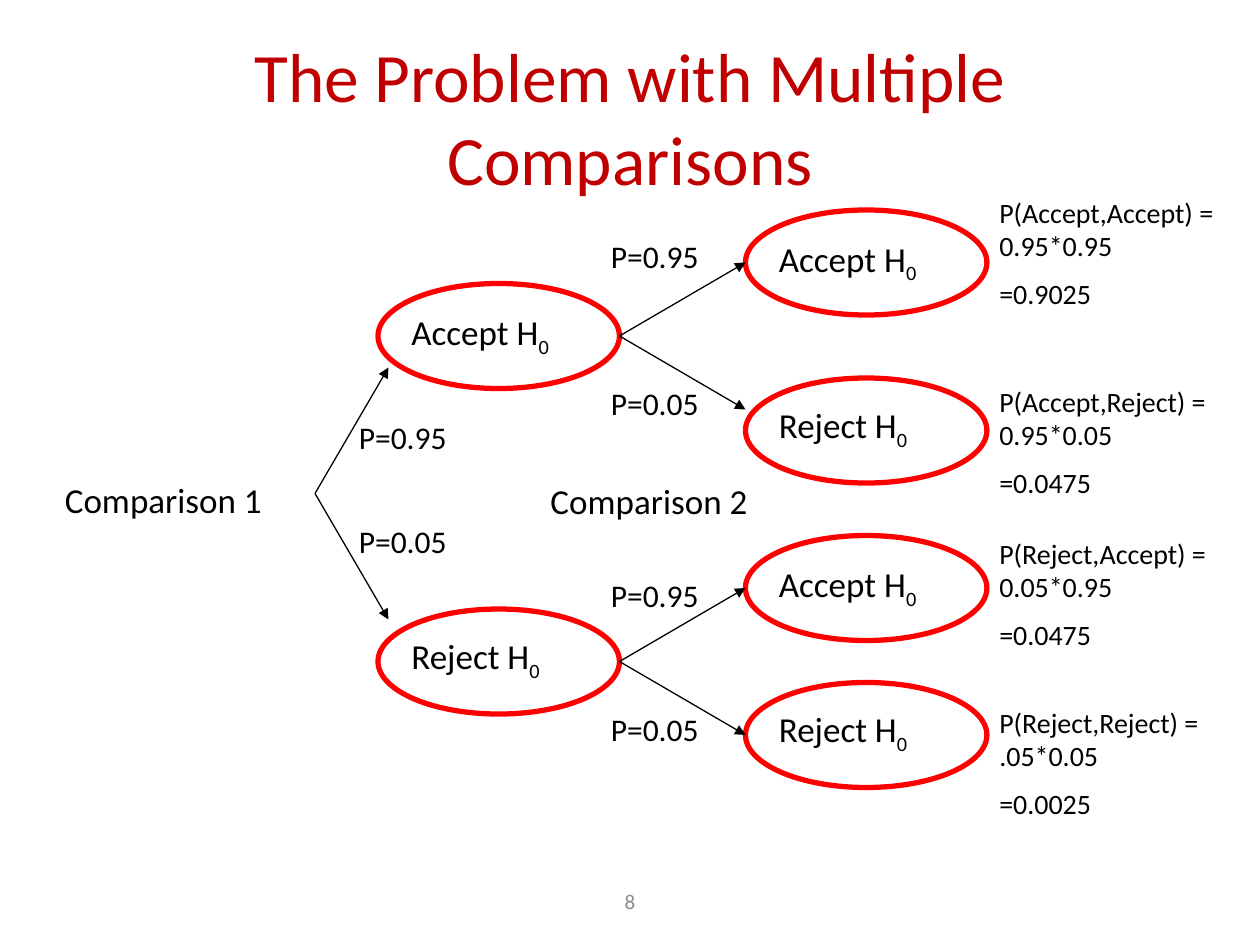
from pptx import Presentation
from pptx.dml.color import RGBColor
from pptx.enum import shapes, text
from pptx.oxml.ns import qn
from pptx.util import Pt
from lxml import etree

# Content
TITLE = "The Problem with Multiple Comparisons"
PAGE = "8"
HEADS = [("Comparison 1", 30, 270), ("Comparison 2", 307.5, 270.5)]
NODES = [  # word, left, top
    ("Accept", 216, 162), ("Reject", 216, 348),
    ("Accept", 426, 120), ("Reject", 426, 216),
    ("Accept", 426, 306), ("Reject", 426, 390),
]
FORKS = [  # start x, start y, run, rise, label x, upper and lower label y
    (180, 282, 42, 72, 198, 235.5, 295),
    (354, 192, 72, 42, 342, 132, 216),
    (354, 378, 72, 42, 342, 325.5, 402),
]
ODDS = ["P=0.95", "P=0.05"]
ENDS = [  # lines, top, width
    (["P(Accept,Accept) = 0.95*0.95", "=0.9025"], 108, 150),
    (["P(Accept,Reject) = 0.95*0.05", "=0.0475"], 216, 144),
    (["P(Reject,Accept) = 0.05*0.95", "=0.0475"], 303, 144),
    (["P(Reject,Reject) = .05*0.05", "=0.0025"], 399.5, 144),
]
INK = {"title": "C00000", "text": "000000", "ring": "FF0000", "page": "8C8C8C"}
FONT = "Calibri"
OVAL_W, OVAL_H = 138, 60
DROP = {"Accept": 12, "Reject": 11}
WIDE = {"Accept": 114, "Reject": 102}

prs = Presentation()
prs.slide_width, prs.slide_height = Pt(720), Pt(540)
slide = prs.slides.add_slide(prs.slide_layouts[5])


def add_run(para, words, size, ink="text"):
    run = para.add_run()
    run.text = words
    run.font.name, run.font.size = FONT, Pt(size)
    run.font.color.rgb = RGBColor.from_string(INK[ink])
    return run


def add_text(lines, x, y, w, h, size, ink="text"):
    box = slide.shapes.add_textbox(Pt(x), Pt(y), Pt(w), Pt(h))
    frame = box.text_frame
    frame.word_wrap = True
    for i, line in enumerate(lines):
        para = frame.add_paragraph() if i else frame.paragraphs[0]
        if i:
            para.space_before = Pt(size / 2)
        add_run(para, line, size, ink)
    return frame


def add_node(word, x, y):
    frame = add_text([word + " H"], x + 12, y + DROP[word], WIDE[word], 31, 20)
    sub = add_run(frame.paragraphs[0], "0", 20)
    sub._r.get_or_add_rPr().set("baseline", "-25000")
    oval = slide.shapes.add_shape(
        shapes.MSO_SHAPE.OVAL, Pt(x), Pt(y), Pt(OVAL_W), Pt(OVAL_H))
    oval.shadow.inherit = False
    oval.fill.background()
    oval.line.color.rgb = RGBColor.from_string(INK["ring"])
    oval.line.width = Pt(3)


def add_arrow(x1, y1, x2, y2):
    line = slide.shapes.add_connector(
        shapes.MSO_CONNECTOR.STRAIGHT, Pt(x1), Pt(y1), Pt(x2), Pt(y2))
    line.line.color.rgb = RGBColor.from_string(INK["text"])
    line.line.width = Pt(0.75)
    etree.SubElement(line.line._get_or_add_ln(), qn("a:tailEnd"), type="triangle")
    etree.SubElement(line._element.spPr, qn("a:effectLst"))


# Title and page number
title = slide.shapes.title
title.left, title.top, title.width, title.height = Pt(36), Pt(21.6), Pt(648), Pt(90)
frame = title.text_frame
frame.auto_size = text.MSO_AUTO_SIZE.NONE
frame.vertical_anchor = text.MSO_ANCHOR.MIDDLE
frame.paragraphs[0].alignment = text.PP_ALIGN.CENTER
add_run(frame.paragraphs[0], TITLE, 39.6, "title")

page = add_text([PAGE], 246, 500.5, 228, 28.75, 12, "page")
page.vertical_anchor = text.MSO_ANCHOR.MIDDLE
page.paragraphs[0].alignment = text.PP_ALIGN.CENTER

# Comparison headings
for head, x, y in HEADS:
    add_text([head], x, y, 150, 31, 20)

# Decision nodes
for node in NODES:
    add_node(*node)

# Branches with their probabilities
for x, y, run, rise, left, *tops in FORKS:
    for odds, top, sign in zip(ODDS, tops, (-1, 1)):
        add_arrow(x, y, x + run, y + sign * rise)
        add_text([odds], left, top, 72, 29, 18)

# Joint outcomes
for lines, y, w in ENDS:
    add_text(lines, 564, y, w, 75, 16)

prs.save("out.pptx")
